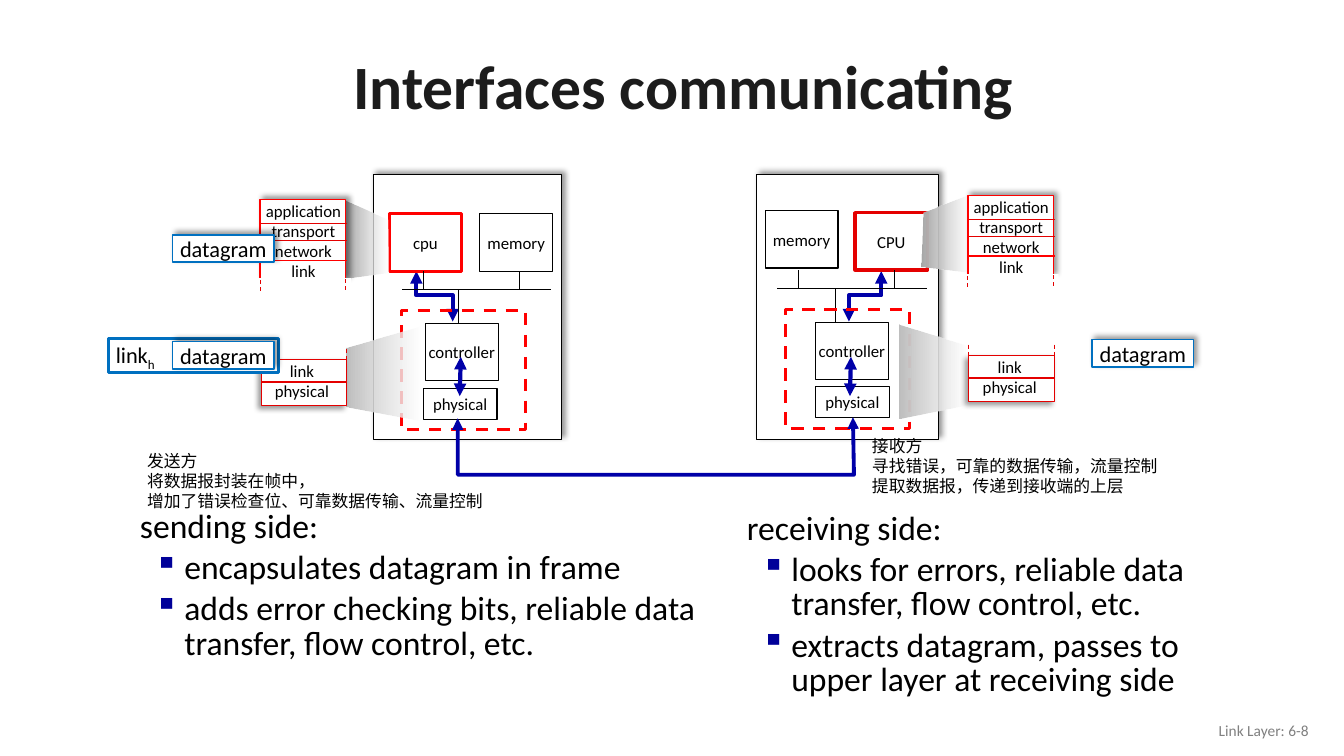
from lxml import etree
from pptx import Presentation
from pptx.dml.color import RGBColor
from pptx.enum.dml import MSO_LINE
from pptx.enum.shapes import MSO_CONNECTOR, MSO_SHAPE
from pptx.enum.text import MSO_ANCHOR, PP_ALIGN
from pptx.oxml.ns import qn
from pptx.util import Inches, Pt

RECTANGLE, STRAIGHT, DASH = MSO_SHAPE.RECTANGLE, MSO_CONNECTOR.STRAIGHT, MSO_LINE.DASH
LEFT, CENTER, RIGHT = PP_ALIGN.LEFT, PP_ALIGN.CENTER, PP_ALIGN.RIGHT
TOP, MIDDLE = MSO_ANCHOR.TOP, MSO_ANCHOR.MIDDLE

BLACK = RGBColor(0x00, 0x00, 0x00)
WHITE = RGBColor(0xFF, 0xFF, 0xFF)
INK = RGBColor(0x1C, 0x1C, 0x1C)
RED = RGBColor(0xFF, 0x00, 0x00)
DARK_RED = RGBColor(0xE4, 0x00, 0x00)
NAVY = RGBColor(0x00, 0x00, 0xA8)
BLUE = RGBColor(0x00, 0x70, 0xC0)
GREY = RGBColor(0x80, 0x80, 0x80)
UPPER_GREY = RGBColor(0xA6, 0xA6, 0xA6)
LOWER_GREY = RGBColor(0xBF, 0xBF, 0xBF)
FONT = "Calibri"
BULLET_COLOUR = "000099"

TITLE = "Interfaces communicating"
FOOTER = "Link Layer: 6-8"
UPPER_LAYERS = ["application", "transport", "network", "link"]
LOWER_LAYERS = ["link", "physical"]

HOSTS = [
    {"panel": (7.5, 1.81), "top": 1.73, "physical": (8.09, 3.83), "controller": (8.09, 3.2),
     "bend": [(8.74, 2.69), (8.74, 2.93), (8.42, 2.93), (8.42, 3.19)], "bus": (7.71, 2.86),
     "riser": 8.29, "memory": (7.59, 2.09, 1), "cpu": (8.48, 2.11, DARK_RED, "CPU"),
     "arrow": 8.44, "adapter": (7.79, 3.07)},
    {"panel": (3.7, 1.87), "top": 1.73, "physical": (4.2, 3.85), "controller": (4.22, 3.21),
     "bend": [(4.13, 2.69), (4.13, 2.93), (4.49, 2.93), (4.49, 3.19)], "bus": (3.99, 2.87),
     "riser": 4.55, "memory": (4.76, 2.12, 0.75), "cpu": (3.86, 2.12, RED, "cpu"),
     "arrow": 4.57, "adapter": (3.98, 3.08)},
]
STACKS = [
    {"at": (2.58, 1.98), "dashes": [0.86],
     "lower_wedge": [(4.16, 3.24), (3.44, 3.45), (3.44, 4.03), (4.17, 4.17)], "lower_alpha": 74,
     "upper_wedge": [(3.84, 2.18), (3.43, 1.99), (3.43, 2.76), (3.85, 2.7)], "upper_alpha": 66},
    {"at": (9.6, 1.94), "dashes": [0.01, 0.86],
     "lower_wedge": [(8.92, 3.22), (9.6, 3.43), (9.6, 4.01), (8.92, 4.15)], "lower_alpha": 82,
     "upper_wedge": [(9.16, 2.11), (9.62, 1.93), (9.62, 2.7), (9.14, 2.64)], "upper_alpha": 81},
]
CABLE = [(4.54, 4.15), (4.54, 4.71), (8.47, 4.71), (8.46, 4.14)]
SIDES = [
    ((1.29, 5.02, 5.74, 2.12), "sending side:",
     ["encapsulates datagram in frame",
      "adds error checking bits, reliable data transfer, flow control, etc."]),
    ((7.31, 5.04, 5.28, 2.02), "receiving side:",
     ["looks for errors, reliable data transfer, flow control, etc.",
      "extracts datagram, passes to upper layer at receiving side"]),
]
FRAME = (1.08, 3.36, 1.68, 0.34)
TAGS = [(1.71, 3.39), (1.71, 2.33), (10.83, 3.37)]
NOTES = [
    ((1.36, 4.42, 3.58, 0.71),
     ["发送方", "将数据报封装在帧中，", "增加了错误检查位、可靠数据传输、流量控制"]),
    ((8.55, 4.27, 3.11, 0.71),
     ["接收方", "寻找错误，可靠的数据传输，流量控制", "提取数据报，传递到接收端的上层"]),
]


def add_xml(parent, tag, **attributes):
    return etree.SubElement(parent, qn(tag), attributes)


def style_span(span, size, colour=BLACK, bold=False):
    for name, value in {"name": FONT, "size": Pt(size), "bold": bold}.items():
        setattr(span.font, name, value)
    span.font.color.rgb = colour


def write(shape, lines, size=12, colour=BLACK, align=CENTER, anchor=MIDDLE, wrap=False, bold=False):
    frame = shape.text_frame
    frame.word_wrap, frame.vertical_anchor = wrap, anchor
    for number, line in enumerate(lines):
        para = frame.add_paragraph() if number else frame.paragraphs[0]
        para.alignment = align
        span = para.add_run()
        span.text = line
        style_span(span, size, colour, bold)
    return frame


def add_text(at, lines, **formats):
    return write(page.shapes.add_textbox(*map(Inches, at)), lines, **formats)


def style_line(line, colour, width, dashed=False, arrows=False):
    line.color.rgb, line.width = colour, Pt(width)
    if dashed:
        line.dash_style = DASH
    if arrows:
        outline = line._get_or_add_ln()
        add_xml(outline, "a:headEnd", type="triangle")
        add_xml(outline, "a:tailEnd", type="triangle")


def add_box(at, colour=BLACK, width=0.75, label=None, size=12, filled=True, dashed=False,
            shadow_angle=None):
    box = page.shapes.add_shape(RECTANGLE, *map(Inches, at))
    if filled:
        box.fill.solid()
        box.fill.fore_color.rgb = WHITE
    else:
        box.fill.background()
    if colour is None:
        box.line.fill.background()
    else:
        style_line(box.line, colour, width, dashed)
    box.shadow.inherit = False
    if shadow_angle is not None:
        effects = box._element.spPr.find(qn("a:effectLst"))
        shadow = add_xml(effects, "a:outerShdw", blurRad=str(Pt(4)), dist=str(Pt(3)),
                         dir=str(shadow_angle * 60000), algn="ctr", rotWithShape="0")
        add_xml(add_xml(shadow, "a:srgbClr", val="000000"), "a:alpha", val="40000")
    if label:
        write(box, [label], size)


def add_line(start, end, colour=BLACK, width=0.75, **formats):
    line = page.shapes.add_connector(STRAIGHT, *map(Inches, start + end))
    style_line(line.line, colour, width, **formats)
    add_xml(line._element.spPr, "a:effectLst")


def add_outline(points, close):
    corners = [tuple(map(Inches, point)) for point in points]
    builder = page.shapes.build_freeform(*corners[0])
    builder.add_line_segments(corners[1:], close=close)
    outline = builder.convert_to_shape()
    outline.shadow.inherit = False
    return outline


def add_arrow_path(points, width):
    route = add_outline(points, close=False)
    route.fill.background()
    style_line(route.line, NAVY, width, arrows=True)


def add_wedge(points, grey, alpha):
    """Draw a zoom wedge that fades from grey to translucent white."""
    wedge = add_outline(points, close=True)
    wedge.line.fill.background()
    wedge.fill.gradient()
    wedge.fill.gradient_angle = 0
    for stop, colour in zip(wedge.fill.gradient_stops, (grey, WHITE)):
        stop.color.rgb = colour
    last = wedge._element.spPr.findall(".//" + qn("a:srgbClr"))[-1]
    add_xml(last, "a:alpha", val=str(alpha * 1000))


def add_host(host):
    left, width = host["panel"]
    add_box((left, host["top"], width, 2.63), shadow_angle=315)
    add_box(host["physical"] + (0.73, 0.31), label="physical")
    add_box(host["controller"] + (0.72, 0.57), label="controller")
    add_arrow_path(host["bend"], 3)
    bus_x, bus_y = host["bus"]
    add_line((bus_x, bus_y), (bus_x + 1.48, bus_y))
    add_line((host["riser"], host["controller"][1]), (host["riser"], bus_y))
    x, y, weight = host["memory"]
    add_box((x, y, 0.72, 0.57), width=weight, label="memory")
    x, y, colour, label = host["cpu"]
    add_box((x, y, 0.72, 0.57), colour, 2.25, label)
    for offset in (0.21, 1.16):
        add_line((bus_x + offset, bus_y), (bus_x + offset, bus_y - 0.18))
    add_line((host["arrow"], 3.54), (host["arrow"] - 0.01, 3.93), NAVY, 3, arrows=True)
    add_box(host["adapter"] + (1.23, 1.18), RED, 2.25, filled=False, dashed=True)


def add_stack(stack):
    x, y = stack["at"]
    add_wedge(stack["lower_wedge"], LOWER_GREY, stack["lower_alpha"])
    add_box((x + 0.01, y + 1.59, 0.85, 0.45), DARK_RED, shadow_angle=135)
    add_wedge(stack["upper_wedge"], UPPER_GREY, stack["upper_alpha"])
    add_box((x, y, 0.85, 0.8), RED, 1, shadow_angle=315)
    add_text((x - 0.05, y - 0.04, 0.96, 0.91), UPPER_LAYERS, anchor=TOP)
    for drop, colour in ((0.24, DARK_RED), (0.41, DARK_RED), (0.6, RED), (1.81, DARK_RED)):
        add_line((x + 0.01, y + drop), (x + 0.86, y + drop), colour)
    add_box((x - 0.06, y + 0.78, 0.96, 0.2), None)
    ticks = [(0, 0.8), (0.85, 0.79)] + [(offset, 1.48) for offset in stack["dashes"]]
    for offset, drop in ticks:
        add_line((x + offset, y + drop), (x + offset, y + drop + 0.11), DARK_RED, dashed=True)
    add_text((x + 0.04, y + 1.55, 0.75, 0.51), LOWER_LAYERS, anchor=TOP)


def add_side(at, heading, points):
    frame = add_text(at, [heading] + points, size=24, align=LEFT, anchor=TOP, wrap=True)
    for number, para in enumerate(frame.paragraphs):
        para.line_spacing, para.space_before = 0.85, Pt(5)
        if number:
            settings = para._p.get_or_add_pPr()
            settings.set("marL", str(Inches(0.44)))
            settings.set("indent", str(Inches(-0.3)))
            add_xml(add_xml(settings, "a:buClr"), "a:srgbClr", val=BULLET_COLOUR)
            add_xml(settings, "a:buChar", char="▪")


deck = Presentation()
deck.slide_width, deck.slide_height = Inches(13.33), Inches(7.5)
page = deck.slides.add_slide(deck.slide_layouts[5])

title = page.shapes.title
for side, length in zip(("left", "top", "width", "height"), (1.03, 0.4, 11.5, 0.98)):
    setattr(title, side, Inches(length))
write(title, [TITLE], 44, INK, wrap=True, bold=True).paragraphs[0].line_spacing = 0.9

for host in HOSTS:
    add_host(host)
for stack in STACKS:
    add_stack(stack)
add_arrow_path(CABLE, 2.75)
for side in SIDES:
    add_side(*side)

add_box(FRAME, BLUE, 2)
header = add_text((1.05, 3.34, 0.67, 0.37), ["link"], size=16, align=LEFT, anchor=TOP, wrap=True)
subscript = header.paragraphs[0].add_run()
subscript.text = "h"
style_span(subscript, 16)
subscript.font._element.set("baseline", "-25000")
for tag in TAGS:
    add_box(tag + (1.01, 0.27), BLUE, 1, "datagram", 16, shadow_angle=315)

add_text((10.08, 7.05, 3, 0.4), [FOOTER], size=11, colour=GREY, align=RIGHT, wrap=True)
for at, lines in NOTES:
    add_text(at, lines, align=LEFT, anchor=TOP, wrap=True)

deck.save("out.pptx")
